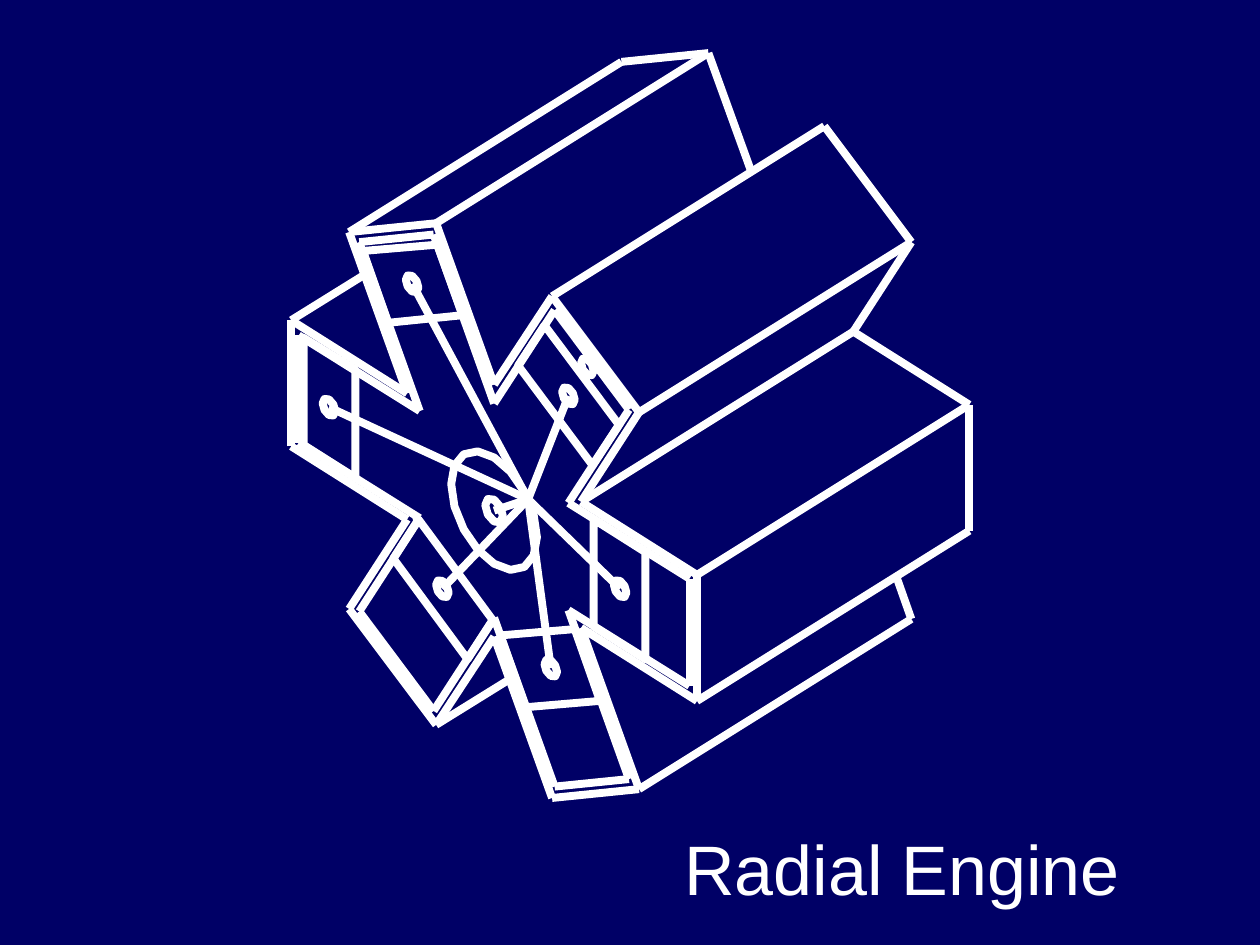
from itertools import pairwise
from math import cos, pi, sin

from lxml.etree import SubElement
from pptx import Presentation
from pptx.dml.color import RGBColor
from pptx.enum.text import MSO_ANCHOR, MSO_AUTO_SIZE, PP_ALIGN
from pptx.oxml.ns import qn
from pptx.util import Cm, Pt

COLORS = {"background": "000066", "ink": "FFFFFF"}
LINE_WIDTH = Pt(4.5)

# Engine geometry: one unit is 1/538 of the drawing's width, measured from the hub.
ENGINE_WIDTH = 538
HUB = (161, 363)
DEPTH = (216, -135)
CRANK_PIN = (27, -9)

# Half of each front contour; the other half is its point reflection in the hub.
CASING_HALF = [(0, -100), (46, -170), (115, -78), (69, -7), (161, 51),
               (161, 151), (69, 93), (115, 221), (46, 228)]
BORE_HALF = [(0, -85), (48, -159), (107, -80), (59, -6), (155, 54),
             (155, 139), (59, 79), (107, 213), (48, 219)]

PISTONS = [
    [(78, -36), (19, -115), (40, -147), (99, -68)],
    [(79, 92), (79, 7), (120, 33), (120, 118)],
    [(5, 99), (64, 94), (84, 151), (25, 156)],
    [(-60, 7), (-1, 87), (-21, 118), (-80, 38)],
    [(-110, -112), (-110, -26), (-151, -52), (-151, -137)],
    [(-25, -155), (-84, -149), (-104, -206), (-45, -211)],
]
ROD_ENDS = [(59, -91), (100, 62), (45, 125), (-41, 62), (-131, -82), (-65, -180)]
REAR_PIN = (74, -114)

RIDGE_STARTS = [(161, 51), (115, -78), (69, -7), (46, -170),
                (-46, -228), (-115, -221), (115, 221), (161, 151)]
REAR_CONTOURS = [
    [(161, 151), (161, 51), (69, -7), (115, -78), (46, -170)],
    [(-46, -228), (-115, -221)],
]
PARTLY_COVERED_EDGES = [
    ((-161, -151), (-103, -187)), ((-46, 170), (12, 134)),
    ((319, 52), (331, 86)), ((204, -269), (170, -363)),
]
BORE_JOINTS = [((62, 81), (60, 83)), ((-61, 8), (-62, 4)), ((1, 89), (-2, 87))]


def color(name):
    return RGBColor.from_string(COLORS[name])


def shifted(point, offset):
    return point[0] + offset[0], point[1] + offset[1]


def mirrored_contour(half):
    """Complete a half contour by point reflection and close it."""
    return half + [(-x, -y) for x, y in half] + half[:1]


def disc_points(center, radius, steps):
    """Corners of a circle seen in the engine's oblique projection."""
    angles = [2 * pi * step / steps for step in range(steps)]
    return [shifted(center, (-radius * cos(angle),
                             -radius * (0.62 * cos(angle) + 1.24 * sin(angle))))
            for angle in angles]


def draw_engine(slide, left, top, width):
    shapes = slide.shapes.add_group_shape().shapes
    unit = width / ENGINE_WIDTH

    def place(point):
        x, y = shifted(point, HUB)
        return Cm(left + x * unit), Cm(top + y * unit)

    def style(shape):
        shape.line.color.rgb = color("ink")
        shape.line.width = LINE_WIDTH

    def draw_line(start, end):
        line = shapes.add_connector(1, *place(start), *place(end))
        style(line)
        SubElement(line._element.spPr, qn("a:effectLst"))

    def draw_outline(points):
        first, *others = [place(point) for point in points]
        builder = shapes.build_freeform(*first)
        builder.add_line_segments(others, close=True)
        outline = builder.convert_to_shape()
        outline.fill.background()
        outline.shadow.inherit = False
        style(outline)

    for half in (CASING_HALF, BORE_HALF):
        for start, end in pairwise(mirrored_contour(half)):
            draw_line(start, end)

    for piston in PISTONS:
        draw_outline(piston)
    for center in [REAR_PIN, *ROD_ENDS]:
        draw_outline(disc_points(center, 5, 8))
    draw_outline(disc_points((0, 0), 7, 8))
    draw_outline(disc_points((0, 0), 34, 16))

    for end in [(0, 0), *ROD_ENDS]:
        draw_line(CRANK_PIN, end)
    for start in RIDGE_STARTS:
        draw_line(start, shifted(start, DEPTH))
    for contour in REAR_CONTOURS:
        for start, end in pairwise(contour):
            draw_line(shifted(start, DEPTH), shifted(end, DEPTH))
    for start, end in PARTLY_COVERED_EDGES + BORE_JOINTS:
        draw_line(start, end)


def write_title(slide, left, top, width, height):
    title = slide.shapes.title
    title.left, title.top = Cm(left), Cm(top)
    title.width, title.height = Cm(width), Cm(height)
    frame = title.text_frame
    frame.word_wrap = True
    frame.auto_size = MSO_AUTO_SIZE.NONE
    frame.vertical_anchor = MSO_ANCHOR.MIDDLE
    paragraph = frame.paragraphs[0]
    paragraph.alignment = PP_ALIGN.LEFT
    run = paragraph.add_run()
    run.text = "Radial Engine"
    run.font.name = "Arial"
    run.font.size = Pt(40)
    run.font.color.rgb = color("ink")


def main():
    presentation = Presentation()
    presentation.slide_width, presentation.slide_height = Cm(25.4), Cm(19.05)
    slide = presentation.slides.add_slide(presentation.slide_layouts[5])
    slide.background.fill.solid()
    slide.background.fill.fore_color.rgb = color("background")
    draw_engine(slide, left=5.87, top=1.07, width=13.67)
    write_title(slide, left=13.54, top=16.51, width=11.86, height=1.96)
    presentation.save("out.pptx")


if __name__ == "__main__":
    main()
